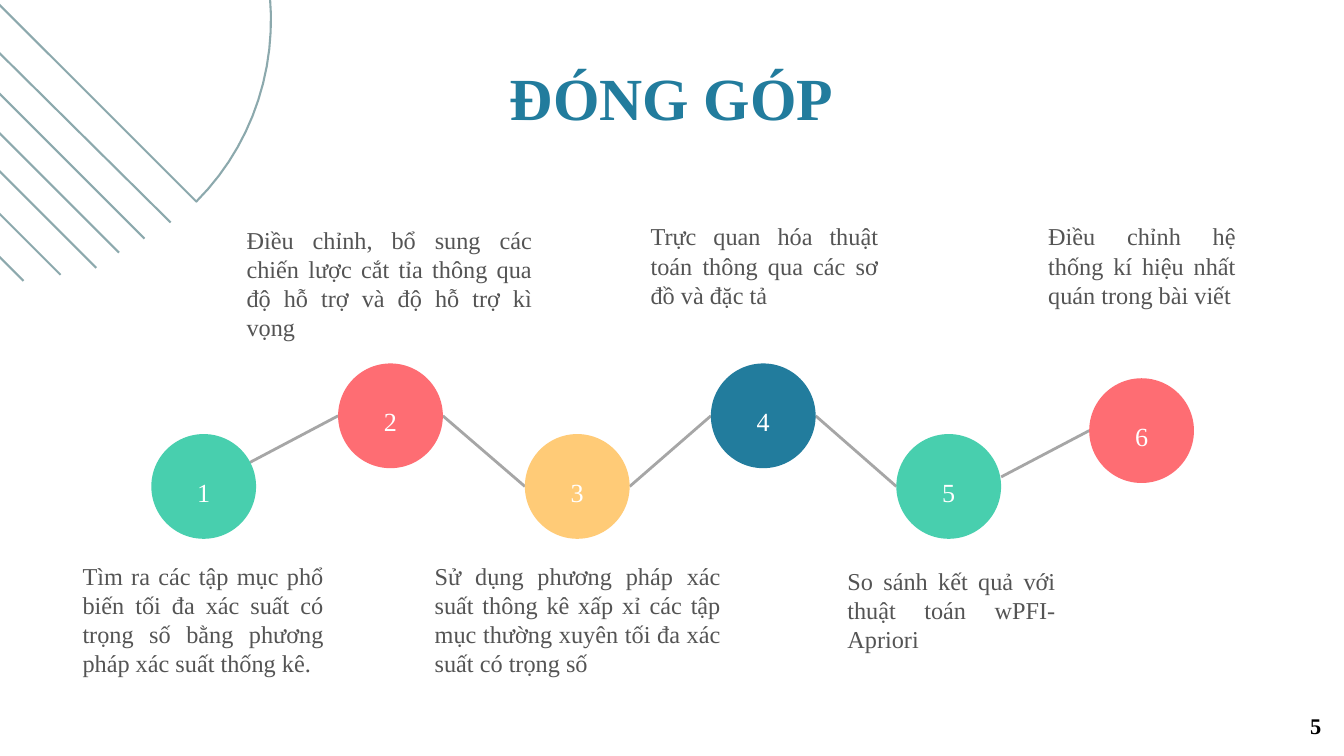
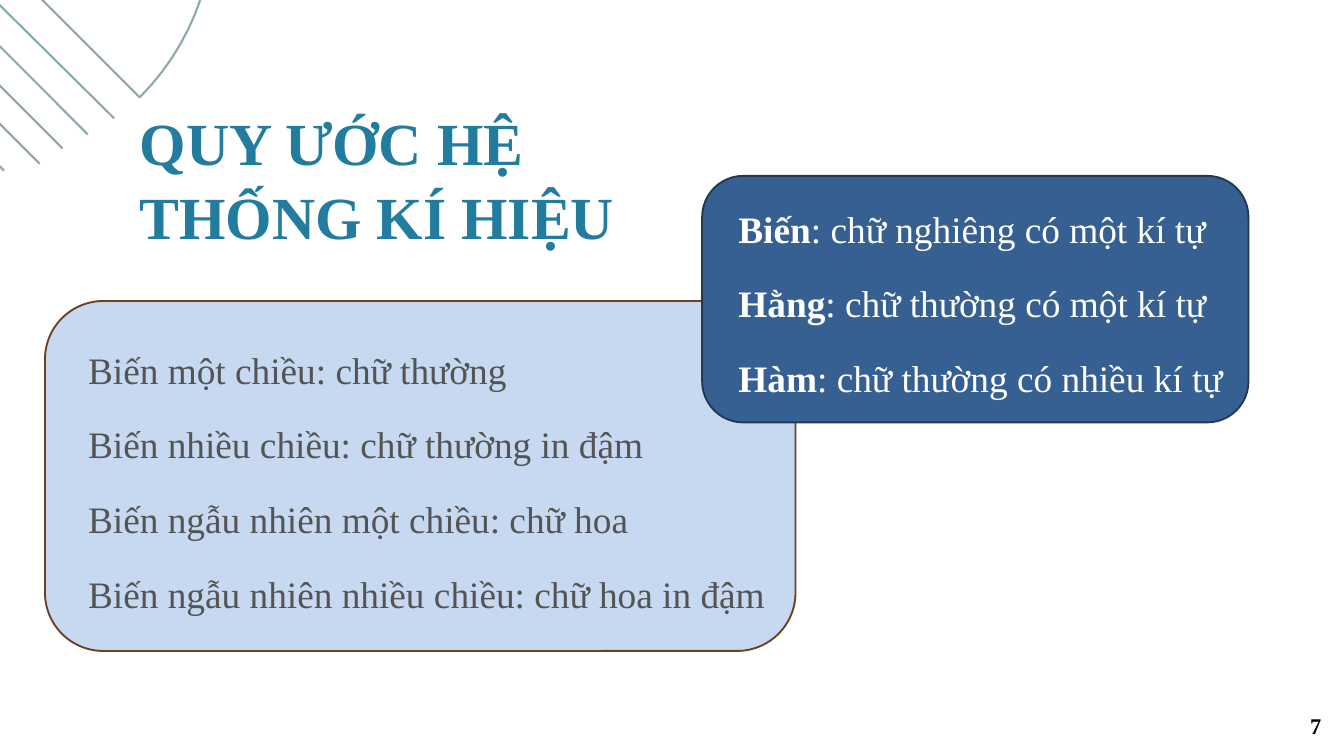
import math
from dataclasses import dataclass
from typing import NamedTuple

import pptx
import pptx.dml.color
import pptx.enum.shapes
import pptx.enum.text
import pptx.oxml.ns
import pptx.shapes.base
import pptx.slide
import pptx.text.text
import pptx.util
from lxml import etree

Cm = pptx.util.Cm
Pt = pptx.util.Pt
ALIGN = pptx.enum.text.PP_ALIGN
ANCHOR = pptx.enum.text.MSO_ANCHOR
PRESET = pptx.enum.shapes.MSO_SHAPE

FONT = "Times New Roman"
BLUE, GREEN, CORAL, AMBER = "227C9D", "48CFAE", "FE6D73", "FFCB77"
INK, WHITE, BLACK = "545454", "FFFFFF", "000000"
LINK_GREY, FAN_GREY = "A6A6A6", "8CA9AD"
CIRCLE_SIZE = 3.96


class Point(NamedTuple):
    x: float
    y: float


class Box(NamedTuple):
    """Left, top, width and height in centimetres."""
    left: float
    top: float
    width: float
    height: float

    def lengths(self) -> list[pptx.util.Length]:
        return [Cm(value) for value in self]


@dataclass(frozen=True)
class TextStyle:
    size: float
    color: str
    bold: bool = False
    align: ALIGN = ALIGN.LEFT
    leading: float | None = None
    tracking: float = 0


@dataclass(frozen=True)
class Step:
    """One contribution; exit_shift moves the start of the link to the next."""
    left: float
    top: float
    color: str
    caption: str
    caption_box: Box
    exit_shift: Point = Point(0, 0)

    @property
    def entry(self) -> Point:
        return Point(self.left, self.top + CIRCLE_SIZE / 2)

    @property
    def exit(self) -> Point:
        return Point(self.left + CIRCLE_SIZE + self.exit_shift.x,
                     self.entry.y + self.exit_shift.y)


@dataclass(frozen=True)
class Panel:
    frame: Box
    fill: str
    border: str
    text_box: Box
    text_color: str
    lines: list[tuple[str, str]]


class Stripe(NamedTuple):
    """Ends of a fan stripe, measured from the tip of the dome."""
    start: Point
    end: Point


STRIPES = [
    Stripe(Point(-15.37, -13.46), Point(-0.97, 0.79)),
    Stripe(Point(-15.95, -12.6), Point(-1.96, 1.4)),
    Stripe(Point(-16.46, -11.61), Point(-2.92, 1.93)),
    Stripe(Point(-16.81, -10.52), Point(-3.78, 2.51)),
    Stripe(Point(-17.2, -9.3), Point(-5.13, 2.77)),
    Stripe(Point(-17.55, -8.08), Point(-6.53, 3)),
]

PAGE_NUMBER_BOX = Box(44.27, 26.92, 5.92, 1.02)
PAGE_NUMBER_STYLE = TextStyle(24, BLACK, bold=True, align=ALIGN.RIGHT)
NUMERAL_STYLE = TextStyle(28, WHITE, align=ALIGN.CENTER, leading=44.8, tracking=3.4)
CAPTION_STYLE = TextStyle(26, INK, align=ALIGN.JUSTIFY, leading=31.2)

STEPS = [
    Step(5.72, 16.41, GREEN,
         "Tìm ra các tập mục phổ biến tối đa xác suất có trọng số bằng phương "
         "pháp xác suất thống kê.",
         Box(3.12, 21.21, 9.12, 4.42), Point(-0.23, -0.91)),
    Step(12.78, 13.74, CORAL,
         "Điều chỉnh, bổ sung các chiến lược cắt tỉa thông qua độ hỗ trợ và độ "
         "hỗ trợ kì vọng",
         Box(9.32, 8.51, 10.8, 4.42)),
    Step(19.84, 16.41, AMBER,
         "Sử dụng phương pháp xác suất thông kê xấp xỉ các tập mục thường xuyên "
         "tối đa xác suất có trọng số",
         Box(16.43, 21.21, 10.82, 4.42)),
    Step(26.87, 13.74, BLUE,
         "Trực quan hóa thuật toán thông qua các sơ đồ và đặc tả",
         Box(24.59, 8.38, 8.61, 3.3)),
    Step(33.88, 16.41, GREEN,
         "So sánh kết quả với thuật toán wPFI-Apriori",
         Box(32.03, 21.39, 7.87, 3.3), Point(0, -0.36)),
    Step(41.17, 14.3, CORAL,
         "Điều chỉnh hệ thống kí hiệu nhất quán trong bài viết",
         Box(39.62, 8.38, 7.09, 3.3)),
]

# Each line is a bold term followed by its plain explanation.
PANELS = [
    Panel(Box(1.7, 11.38, 28.37, 13.23), "C6D9F1", "6C421F",
          Box(3.33, 11.99, 27.28, 13.87), INK,
          [("", "Biến một chiều: chữ thường"),
           ("", "Biến nhiều chiều: chữ thường in đậm"),
           ("", "Biến ngẫu nhiên một chiều: chữ hoa"),
           ("", "Biến ngẫu nhiên nhiều chiều: chữ hoa in đậm")]),
    Panel(Box(26.54, 6.65, 20.65, 9.32), "376092", "233953",
          Box(27.91, 6.65, 18.64, 8.15), WHITE,
          [("Biến", ": chữ nghiêng có một kí tự"),
           ("Hằng", ": chữ thường có một kí tự"),
           ("Hàm", ": chữ thường có nhiều kí tự")]),
]


def rgb(color: str) -> pptx.dml.color.RGBColor:
    return pptx.dml.color.RGBColor.from_string(color)


def write(frame: pptx.text.text.TextFrame, style: TextStyle,
          lines: list[tuple[str, str]]) -> None:
    """Fill the frame with one paragraph per (bold lead, rest) pair."""
    frame.word_wrap = True
    for index, (lead, rest) in enumerate(lines):
        paragraph = frame.add_paragraph() if index else frame.paragraphs[0]
        paragraph.alignment = style.align
        if style.leading:
            paragraph.line_spacing = Pt(style.leading)
        for words, bold in ((lead, True), (rest, style.bold)):
            if not words:
                continue
            run = paragraph.add_run()
            run.text = words
            run.font.name = FONT
            run.font.size = Pt(style.size)
            run.font.bold = bold
            run.font.color.rgb = rgb(style.color)
            if style.tracking:
                run.font._element.set("spc", str(round(style.tracking * 100)))


def remove_margins(frame: pptx.text.text.TextFrame) -> None:
    frame.margin_left = frame.margin_right = 0
    frame.margin_top = frame.margin_bottom = 0


def add_text(slide: pptx.slide.Slide, box: Box, style: TextStyle,
             lines: list[tuple[str, str]]) -> None:
    frame = slide.shapes.add_textbox(*box.lengths()).text_frame
    remove_margins(frame)
    write(frame, style, lines)


def add_line(slide: pptx.slide.Slide, start: Point, end: Point,
             color: str, width: float) -> None:
    line = slide.shapes.add_connector(
        pptx.enum.shapes.MSO_CONNECTOR.STRAIGHT,
        Cm(start.x), Cm(start.y), Cm(end.x), Cm(end.y))
    line.line.color.rgb = rgb(color)
    line.line.width = Pt(width)
    etree.SubElement(line._element.spPr, pptx.oxml.ns.qn("a:effectLst"))


def add_filled(slide: pptx.slide.Slide, preset: PRESET, box: Box, fill: str,
               border: str | None = None) -> pptx.shapes.base.BaseShape:
    shape = slide.shapes.add_shape(preset, *box.lengths())
    shape.shadow.inherit = False
    shape.fill.solid()
    shape.fill.fore_color.rgb = rgb(fill)
    if border:
        shape.line.color.rgb = rgb(border)
        shape.line.width = Pt(2)
    else:
        shape.line.fill.background()
    return shape


def add_fan(slide: pptx.slide.Slide, tip: Point, stripe_count: int) -> None:
    """Draw a half-ellipse on a 45 degree base, with stripes below the base."""
    half_base, rise, segments = 10.29, 9.9, 48
    diagonal = math.sqrt(0.5)
    center = Point(tip.x - half_base * diagonal, tip.y - half_base * diagonal)
    outline = []
    for index in range(segments + 1):
        angle = math.pi * index / segments
        along, across = half_base * math.cos(angle), rise * math.sin(angle)
        outline.append((Cm(center.x + (along + across) * diagonal),
                        Cm(center.y + (along - across) * diagonal)))
    builder = slide.shapes.build_freeform(*outline[0])
    builder.add_line_segments(outline[1:], close=True)
    dome = builder.convert_to_shape()
    dome.shadow.inherit = False
    dome.fill.background()
    dome.line.color.rgb = rgb(FAN_GREY)
    dome.line.width = Pt(2.25)
    for stripe in STRIPES[:stripe_count]:
        start, end = (Point(tip.x + p.x, tip.y + p.y) for p in stripe)
        add_line(slide, start, end, FAN_GREY, 2.25)


def add_title(slide: pptx.slide.Slide, title: str, box: Box,
              align: ALIGN, leading: float) -> None:
    style = TextStyle(64, BLUE, bold=True, align=align, leading=leading)
    add_text(slide, box, style, [("", title)])


def add_page_number(slide: pptx.slide.Slide, number: int) -> None:
    frame = slide.shapes.add_textbox(*PAGE_NUMBER_BOX.lengths()).text_frame
    frame.vertical_anchor = ANCHOR.MIDDLE
    write(frame, PAGE_NUMBER_STYLE, [("", str(number))])


def add_step(slide: pptx.slide.Slide, number: int, step: Step) -> None:
    circle = add_filled(slide, PRESET.OVAL,
                        Box(step.left, step.top, CIRCLE_SIZE, CIRCLE_SIZE), step.color)
    remove_margins(circle.text_frame)
    circle.text_frame.vertical_anchor = ANCHOR.MIDDLE
    write(circle.text_frame, NUMERAL_STYLE, [("", str(number))])
    add_text(slide, step.caption_box, CAPTION_STYLE, [("", step.caption)])


def build_contributions(slide: pptx.slide.Slide) -> None:
    for step, following in zip(STEPS, STEPS[1:]):
        add_line(slide, step.exit, following.entry, LINK_GREY, 3)
    add_fan(slide, Point(7.42, 7.62), 6)
    add_title(slide, "ĐÓNG GÓP", Box(14.83, 3.07, 21.11, 1.98), ALIGN.CENTER, 55.4)
    for number, step in enumerate(STEPS, start=1):
        add_step(slide, number, step)
    add_page_number(slide, 5)


def build_notation(slide: pptx.slide.Slide) -> None:
    for panel in PANELS:
        add_filled(slide, PRESET.ROUNDED_RECTANGLE, panel.frame, panel.fill, panel.border)
    add_fan(slide, Point(5.28, 3.68), 5)
    add_title(slide, "QUY ƯỚC HỆ THỐNG KÍ HIỆU", Box(5.28, 3.96, 18.34, 5.38),
              ALIGN.LEFT, 78.4)
    for panel in PANELS:
        add_text(slide, panel.text_box, TextStyle(40, panel.text_color, leading=80),
                 panel.lines)
    add_page_number(slide, 7)


def main() -> None:
    deck = pptx.Presentation()
    deck.slide_width, deck.slide_height = Cm(50.8), Cm(28.58)
    blank = deck.slide_layouts[6]
    for build in (build_contributions, build_notation):
        build(deck.slides.add_slide(blank))
    deck.save("out.pptx")


if __name__ == "__main__":
    main()
